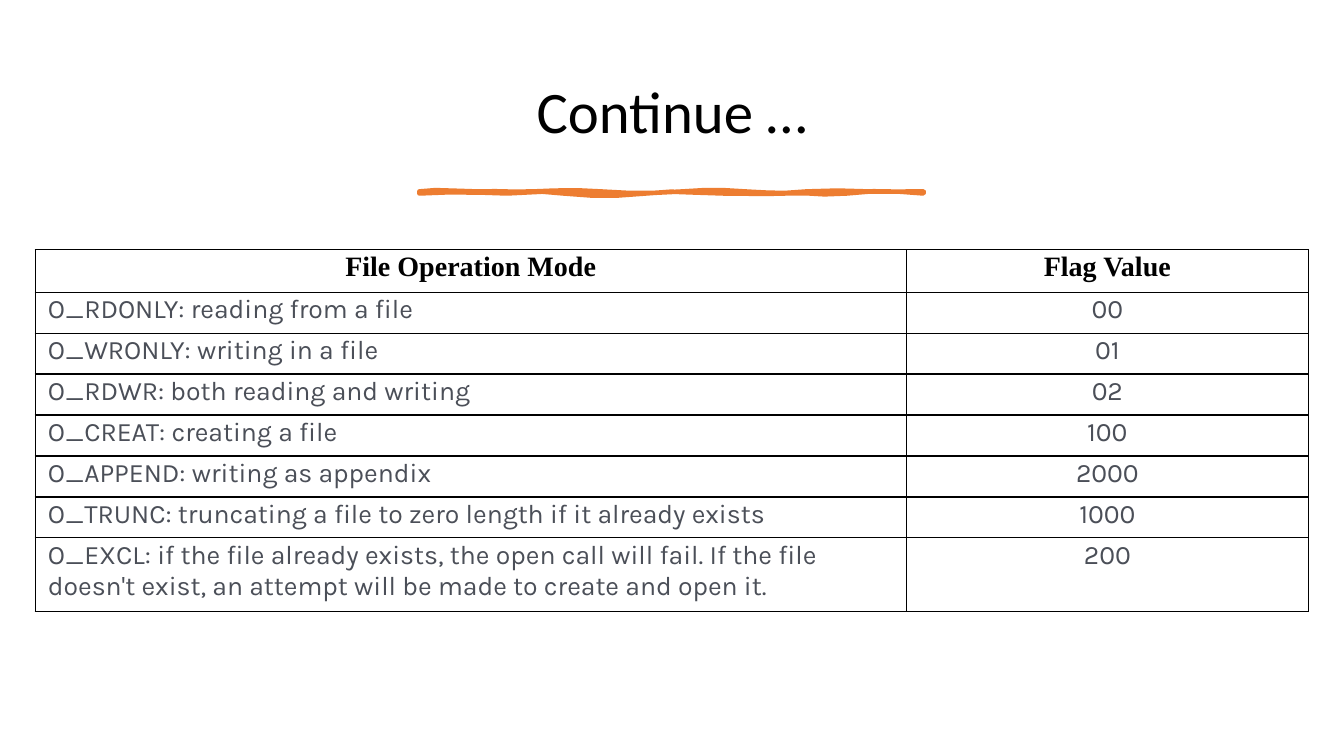
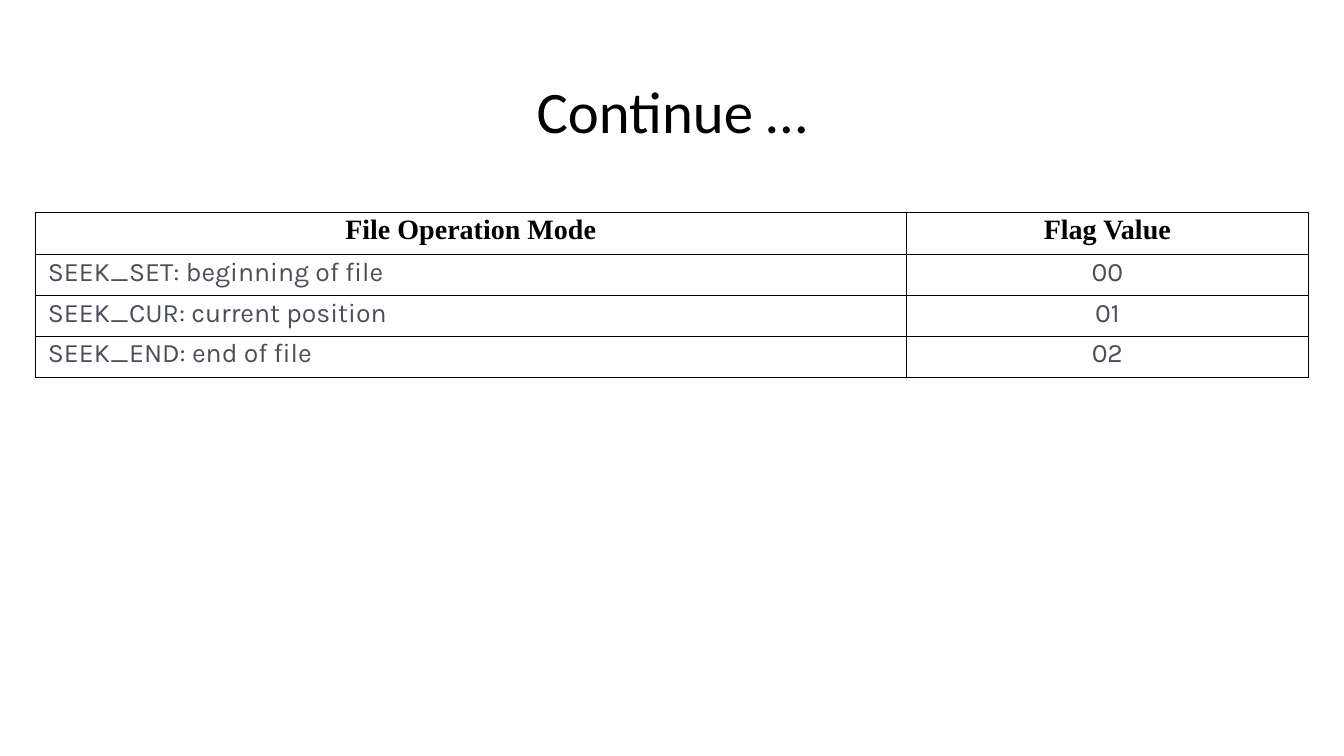
"""Build two slides that list file flags and seek modes in tables."""
from lxml import etree
from pptx import Presentation
from pptx.dml.color import RGBColor
from pptx.enum.text import MSO_ANCHOR, PP_ALIGN
from pptx.oxml.ns import qn
from pptx.util import Inches, Pt

BLACK = RGBColor(0x00, 0x00, 0x00)
SLATE = RGBColor(0x4B, 0x4F, 0x58)
ORANGE = RGBColor(0xED, 0x7D, 0x31)

prs = Presentation()
prs.slide_width, prs.slide_height = Inches(13.33), Inches(7.5)
COL, ROW = prs.slide_width / 100, prs.slide_height / 100

HEADER = ("File Operation Mode", "Flag Value")
COLUMN_WIDTHS = (64.8, 29.93)
HEADER_HEIGHT, LINE_HEIGHT, DOUBLE_HEIGHT = 5.6, 5.42, 9.7
LONG_TEXT = 70

SLIDES = [
    (33.05, True, [
        ("O_RDONLY: reading from a file", "00"),
        ("O_WRONLY: writing in a file", "01"),
        ("O_RDWR: both reading and writing", "02"),
        ("O_CREAT: creating a file", "100"),
        ("O_APPEND: writing as appendix", "2000"),
        ("O_TRUNC: truncating a file to zero length if it already exists", "1000"),
        ("O_EXCL: if the file already exists, the open call will fail. If the file "
         "doesn't exist, an attempt will be made to create and open it.", "200"),
    ]),
    (28.1, False, [
        ("SEEK_SET: beginning of file", "00"),
        ("SEEK_CUR: current position", "01"),
        ("SEEK_END: end of file", "02"),
    ]),
]

WAVE_LEFT, WAVE_TOP, WAVE_UNIT = 31.2, 25.33, Inches(0.01)
WAVE = [
    (0, 0), (12, -3), (38, 0), (57, 0), (76, -1), (93, 1), (113, 0),
    (133, -1), (158, -2), (180, 0), (201, 2), (237, 2), (261, 0),
    (286, -2), (298, -2), (323, 0), (347, 1), (358, 3), (384, 0),
    (410, -3), (451, 2), (500, 0), (501, 1), (500, 1), (500, 2),
    (479, 0), (449, -2), (424, 2), (399, 5), (385, 0), (363, 2),
    (340, 3), (331, 2), (301, 2), (271, 2), (251, -2), (225, 2),
    (198, 5), (169, 5), (143, 2), (118, -2), (107, 2), (87, 2),
    (67, 1), (22, 0), (0, 2), (0, 1), (0, 0), (0, 0),
]
CURVE_STEPS = 3


def curve_point(knots, t):
    weights = ((1 - t) ** 3, 3 * t * (1 - t) ** 2, 3 * t * t * (1 - t), t ** 3)
    x, y = (sum(w * k[axis] for w, k in zip(weights, knots)) for axis in (0, 1))
    return WAVE_LEFT * COL + x * WAVE_UNIT, WAVE_TOP * ROW + y * WAVE_UNIT


def add_borders(cell):
    tc_pr = cell._tc.get_or_add_tcPr()
    for i, side in enumerate(("lnL", "lnR", "lnT", "lnB")):
        ln = etree.Element(qn(f"a:{side}"), w=str(Pt(1)))
        fill = etree.SubElement(ln, qn("a:solidFill"))
        etree.SubElement(fill, qn("a:srgbClr"), val=str(BLACK))
        tc_pr.insert(i, ln)


for table_top, underlined, records in SLIDES:
    s = prs.slides.add_slide(prs.slide_layouts[6])

    sp = s.shapes.add_textbox(
        int(5.23 * COL), int(6.03 * ROW), int(89.5 * COL), int(18.27 * ROW))
    tf = sp.text_frame
    tf.word_wrap = True
    tf.vertical_anchor = MSO_ANCHOR.MIDDLE
    p = tf.paragraphs[0]
    p.text = "Continue …"
    p.alignment = PP_ALIGN.CENTER
    p.line_spacing = 0.9
    p.font.name, p.font.size = "Calibri", Pt(42)
    p.font.color.rgb = BLACK

    if underlined:
        points = [curve_point(WAVE[i:i + 4], step / CURVE_STEPS)
                  for i in range(0, len(WAVE) - 1, 3)
                  for step in range(CURVE_STEPS)]
        builder = s.shapes.build_freeform(*points[0])
        builder.add_line_segments(points[1:], close=True)
        sp = builder.convert_to_shape()
        sp.shadow.inherit = False
        sp.fill.solid()
        sp.fill.fore_color.rgb = ORANGE
        sp.line.color.rgb = ORANGE
        sp.line.width = Pt(3.25)

    rows = [HEADER, *records]
    heights = [HEADER_HEIGHT] + [
        DOUBLE_HEIGHT if len(text) > LONG_TEXT else LINE_HEIGHT for text, _ in records]
    table = s.shapes.add_table(
        len(rows), len(HEADER), int(2.63 * COL), int(table_top * ROW),
        int(sum(COLUMN_WIDTHS) * COL), int(sum(heights) * ROW)).table
    table.first_row = table.horz_banding = False
    for column, width in zip(table.columns, COLUMN_WIDTHS):
        column.width = int(width * COL)

    for i, (values, height) in enumerate(zip(rows, heights)):
        table.rows[i].height = int(height * ROW)
        is_header = i == 0
        for j, value in enumerate(values):
            cell = table.cell(i, j)
            cell.fill.background()
            add_borders(cell)
            cell.margin_left = cell.margin_right = Pt(9)
            cell.margin_top, cell.margin_bottom = Inches(0.02), 0
            p = cell.text_frame.paragraphs[0]
            p.text = value
            p.alignment = PP_ALIGN.CENTER if is_header or j else PP_ALIGN.LEFT
            p.font.name = "Times New Roman" if is_header else "Karla"
            p.font.size = Pt(20 if is_header else 19)
            p.font.bold = is_header
            p.font.color.rgb = BLACK if is_header else SLATE

prs.save("out.pptx")
